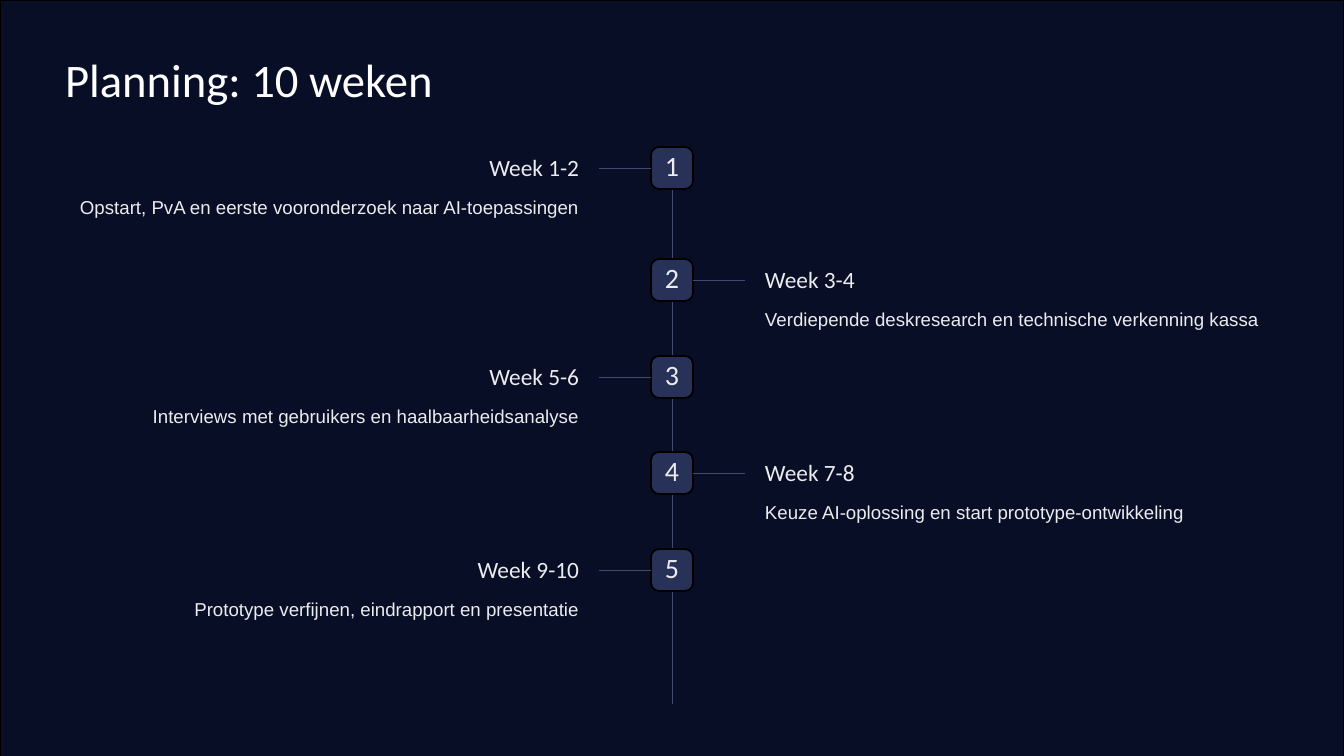
from lxml import etree
from pptx import Presentation
from pptx import util as u
from pptx.dml.color import RGBColor
from pptx.enum import shapes, text
from pptx.oxml.ns import qn

PX = 914400 / 67.2  # EMU in one px
W, H = 1344, 756
NAVY, BLUE, GREY, BLACK = "080E26", "283157", "414A70", "000000"
WHITE, PALE = "FFFFFF", "EBECEF"
BADGE, BRANCH, GAP = 42, 52, 20
TEXT_W = 513

# Week, task, top of the row in px
STEPS = [
    ("Week 1-2", "Opstart, PvA en eerste vooronderzoek naar AI-toepassingen", 147),
    ("Week 3-4", "Verdiepende deskresearch en technische verkenning kassa", 259),
    ("Week 5-6", "Interviews met gebruikers en haalbaarheidsanalyse", 356),
    ("Week 7-8", "Keuze AI-oplossing en start prototype-ontwikkeling", 452),
    ("Week 9-10", "Prototype verfijnen, eindrapport en presentatie", 549),
]


def px(n):
    return u.Emu(round(n * PX))


def color(value):
    return RGBColor.from_string(value)


def write(sp, words, size, leading, font, fill, align):
    tf = sp.text_frame
    tf.word_wrap = True
    tf.margin_left = tf.margin_right = tf.margin_top = tf.margin_bottom = 0
    tf.text = words
    p = tf.paragraphs[0]
    p.alignment = align
    p.line_spacing = u.Pt(leading)
    r = p.runs[0]
    r.font.size, r.font.name = u.Pt(size), font
    r.font.color.rgb = color(fill)


def add_text(s, x, y, w, h, *style):
    write(s.shapes.add_textbox(px(x), px(y), px(w), px(h)), *style)


def add_box(s, kind, x, y, w, h, fill, line_width):
    sp = s.shapes.add_shape(kind, px(x), px(y), px(w), px(h))
    sp.shadow.inherit = False
    sp.fill.solid()
    sp.fill.fore_color.rgb = color(fill)
    sp.line.color.rgb = color(BLACK)
    sp.line.width = u.Pt(line_width)
    return sp


def add_line(s, x1, y1, x2, y2):
    line = s.shapes.add_connector(shapes.MSO_CONNECTOR.STRAIGHT,
                                  px(x1), px(y1), px(x2), px(y2))
    line.line.color.rgb = color(GREY)
    line.line.width = u.Pt(1)
    etree.SubElement(line._element.spPr, qn("a:effectLst"))
    return line


def add_step(s, number, week, task, center, top, on_left):
    # Numbered badge on the spine
    badge = add_box(s, shapes.MSO_SHAPE.ROUNDED_RECTANGLE, center - BADGE / 2, top,
                    BADGE, BADGE, BLUE, 2)
    badge.adjustments[0] = 0.19
    write(badge, str(number), 30, 30, "Calibri", PALE, text.PP_ALIGN.CENTER)
    badge.text_frame.vertical_anchor = text.MSO_ANCHOR.MIDDLE

    # Branch from the badge to the text
    side = -1 if on_left else 1
    middle = top + BADGE / 2
    edge = center + side * BADGE / 2
    tip = edge + side * BRANCH
    branch = add_line(s, edge, middle, tip, middle)
    branch.begin_connect(badge, 1 if on_left else 3)

    # Week and task
    align = text.PP_ALIGN.RIGHT if on_left else text.PP_ALIGN.LEFT
    x = tip - GAP - TEXT_W if on_left else tip + GAP
    add_text(s, x, top + 5, TEXT_W, 30, week, 25, 31.2, "Calibri", PALE, align)
    add_text(s, x, top + 41, TEXT_W, 36, task, 20, 31.9, "Arial", PALE, align)


def add_timeline(s, x, y, w, h):
    center = x + w / 2
    add_line(s, center, y, center, y + h)
    for i, (week, task, top) in enumerate(STEPS):
        add_step(s, i + 1, week, task, center, top, on_left=i % 2 == 0)


def main():
    prs = Presentation()
    prs.slide_width, prs.slide_height = px(W), px(H)
    s = prs.slides.add_slide(prs.slide_layouts[6])

    # Backdrop
    add_box(s, shapes.MSO_SHAPE.RECTANGLE, 0, 0, W, H, NAVY, 1)

    # Title
    add_text(s, 65, 49, 467, 60, "Planning: 10 weken", 50, 62.5, "Calibri", WHITE,
             text.PP_ALIGN.LEFT)

    # Timeline
    add_timeline(s, 65, 147, W - 130, 557)
    prs.save("out.pptx")


if __name__ == "__main__":
    main()
